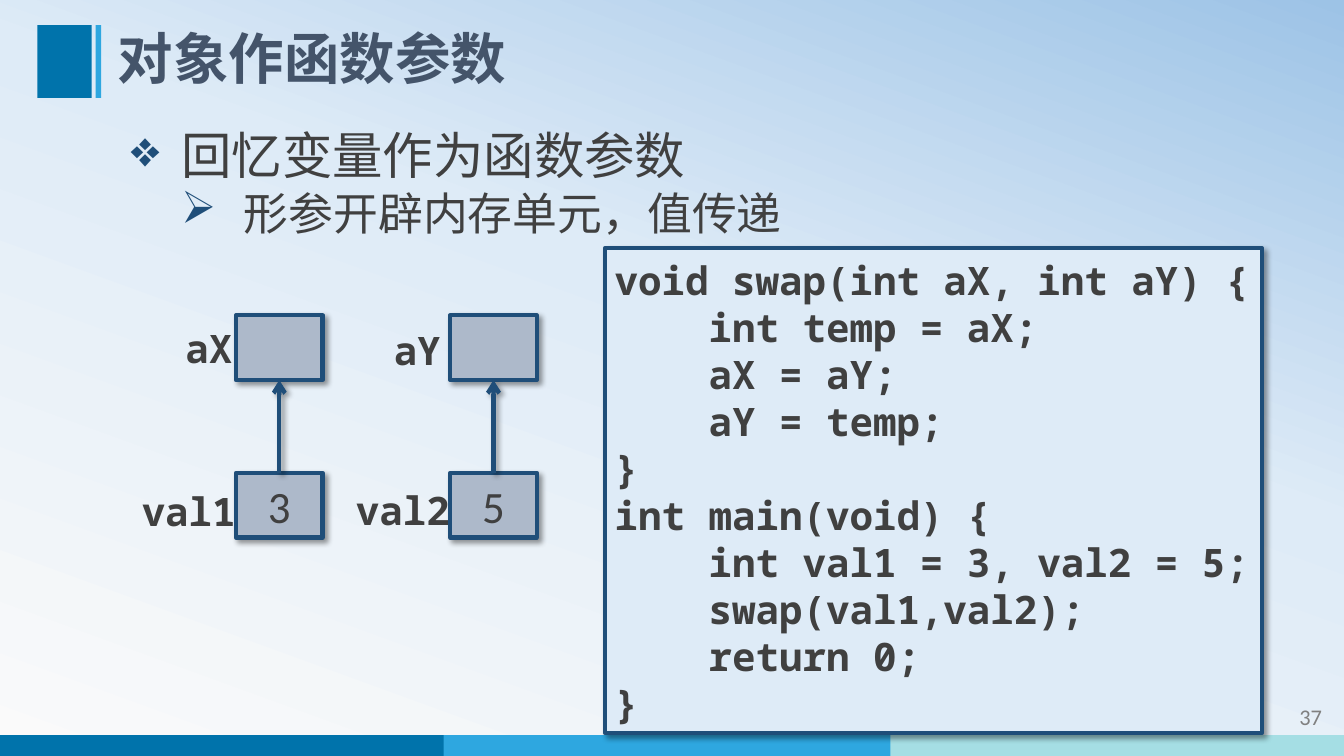
from dataclasses import dataclass

from pptx import Presentation
from pptx.dml.color import RGBColor
from pptx.enum.shapes import MSO_CONNECTOR as CONNECTOR, MSO_SHAPE as SHAPE
from pptx.enum.text import MSO_ANCHOR as ANCHOR, PP_ALIGN as ALIGN
from pptx.oxml import parse_xml
from pptx.oxml.ns import nsdecls, qn
from pptx.util import Inches, Pt

WIDTH, HEIGHT = Inches(13.33), Inches(7.5)
COLUMNS, ROWS = 160, 90


@dataclass(frozen=True)
class Theme:
    """Colours, fonts and type sizes of the slide."""
    navy: str = "1F4E79"
    blue: str = "0073AB"
    sky: str = "2EA7E0"
    aqua: str = "A5DEE4"
    panel: str = "DEEBF7"
    cell: str = "ADB9CA"
    heading: str = "44546A"
    body: str = "404040"
    muted: str = "808080"
    backdrop: tuple = ((0, "FAFAFA"), (58, "DEEBF7"), (100, "9DC3E6"))
    cjk: str = "Noto Sans CJK SC"
    mono: str = "Noto Sans Mono"
    sans: str = "Calibri"
    title_size: float = 39.6
    topic_size: float = 36
    point_size: float = 32
    code_size: float = 28
    number_size: float = 16
    code_pitch: float = 33.6
    line_width: float = 3


THEME = Theme()
CODE = """void swap(int aX, int aY) {
    int temp = aX;
    aX = aY;
    aY = temp;
}
int main(void) {
    int val1 = 3, val2 = 5;
    swap(val1,val2);
    return 0;
}"""


def grid(column, row):
    """Turn grid columns and rows into slide lengths."""
    return round(WIDTH * column / COLUMNS), round(HEIGHT * row / ROWS)


def xml(markup):
    """Build a DrawingML element whose opening tag ends with a marker."""
    return parse_xml(markup.replace("@", nsdecls("a"), 1))


def add_shadow(item):
    """Give a shape or connector the soft diagonal shadow."""
    item.element.spPr.append(xml(
        f'<a:effectLst @><a:outerShdw blurRad="{Pt(4)}" dist="{Pt(3)}" dir="2700000">'
        '<a:srgbClr val="000000"><a:alpha val="40000"/></a:srgbClr>'
        '</a:outerShdw></a:effectLst>'))


def outline(item):
    """Draw the thick navy line of a box or arrow."""
    item.line.color.rgb = RGBColor.from_string(THEME.navy)
    item.line.width = Pt(THEME.line_width)


def paint_background(slide):
    """Fill the slide with the rising blue gradient."""
    fill = slide.background.fill
    fill.gradient()
    fill.gradient_angle = 70
    stops = slide.element.find(".//" + qn("a:gsLst"))
    stops.clear()
    for position, color in THEME.backdrop:
        stops.append(xml(f'<a:gs @ pos="{position * 1000}"><a:srgbClr val="{color}"/></a:gs>'))


def add_block(slide, left, top, width, height, color):
    """Add a plain rectangle without a line."""
    block = slide.shapes.add_shape(SHAPE.RECTANGLE, *grid(left, top), *grid(width, height))
    block.shadow.inherit = False
    block.fill.solid()
    block.fill.fore_color.rgb = RGBColor.from_string(color)
    block.line.fill.background()
    return block


def add_box(slide, left, top, width, height, color):
    """Add an outlined rectangle with a shadow."""
    box = add_block(slide, left, top, width, height, color)
    outline(box)
    box.element.spPr.remove(box.element.spPr.find(qn("a:effectLst")))
    add_shadow(box)
    return box


def add_text_area(slide, left, top, width, height):
    """Add an empty text box on the grid."""
    return slide.shapes.add_textbox(*grid(left, top), *grid(width, height))


def set_bullet(paragraph, mark, margin, hanging):
    """Add a hanging navy bullet to a paragraph."""
    properties = paragraph._p.get_or_add_pPr()
    properties.set("marL", str(Inches(margin)))
    properties.set("indent", str(-Inches(hanging)))
    properties.append(xml(f'<a:buClr @><a:srgbClr val="{THEME.navy}"/></a:buClr>'))
    properties.append(xml(f'<a:buChar @ char="{mark}"/>'))


def write(holder, text, *, font, size, color=THEME.body, bold=False, align=ALIGN.LEFT,
          anchor=ANCHOR.TOP, spacing=None, wrap=True, bullet=None, level=0,
          more=False, inset=0.05):
    """Write formatted lines into a shape, after its text if more is set."""
    frame = holder.text_frame
    frame.word_wrap = wrap
    frame.vertical_anchor = anchor
    frame.margin_top = Inches(inset)
    for index, line in enumerate(text.split("\n")):
        paragraph = frame.add_paragraph() if more or index else frame.paragraphs[0]
        paragraph.alignment = align
        paragraph.level = level
        if bullet:
            set_bullet(paragraph, *bullet)
        if spacing:
            paragraph.line_spacing = spacing
        run = paragraph.add_run()
        run.text = line
        run.font.name, run.font.size, run.font.bold = font, Pt(size), bold
        run.font.color.rgb = RGBColor.from_string(color)
        run._r.get_or_add_rPr().append(xml(f'<a:ea @ typeface="{font}"/>'))


def write_code(holder, code, **format_options):
    """Write bold monospaced code with an even line pitch."""
    write(holder, code, font=THEME.mono, size=THEME.code_size, bold=True,
          spacing=Pt(THEME.code_pitch), inset=0.08, **format_options)


def add_arrow(slide, column, start_row, end_row):
    """Add a vertical arrow from an argument to its parameter."""
    arrow = slide.shapes.add_connector(
        CONNECTOR.STRAIGHT, *grid(column, start_row), *grid(column, end_row))
    outline(arrow)
    arrow.line._get_or_add_ln().append(xml('<a:tailEnd @ type="arrow"/>'))
    add_shadow(arrow)


def add_decoration(slide):
    """Add the footer band and the title markers."""
    for index, color in enumerate((THEME.blue, THEME.sky, THEME.aqua)):
        add_block(slide, -0.4 + 53.2 * index, 87.5, 54, 2.5, color)
    for left, width, color in ((4.45, 6.45, THEME.blue), (11.4, 0.65, THEME.sky)):
        add_block(slide, left, 3, width, 8.65, color)


def add_headings(slide):
    """Add the page number, the title and the two bullet points."""
    write(add_text_area(slide, 139.45, 82.9, 19.1, 4.8), "37", font=THEME.sans,
          size=THEME.number_size, color=THEME.muted, align=ALIGN.RIGHT, anchor=ANCHOR.MIDDLE)
    write(add_text_area(slide, 12.85, 3, 130.3, 8.65), "对象作函数参数", font=THEME.cjk,
          size=THEME.title_size, color=THEME.heading, bold=True, anchor=ANCHOR.MIDDLE,
          spacing=0.9)
    points = add_text_area(slide, 14.4, 10.1, 127.3, 18.6)
    write(points, "回忆变量作为函数参数", font=THEME.cjk, size=THEME.topic_size,
          spacing=Pt(68), bullet=("❖", 0.5, 0.5))
    write(points, "形参开辟内存单元，值传递", font=THEME.cjk, size=THEME.point_size,
          spacing=Pt(39), bullet=("➢", 1.12, 0.62), level=1, more=True)


def add_memory(slide):
    """Add the memory cells, their arrows and their labels."""
    cell_left, cell_step, cell_width, cell_height = 28.1, 25.5, 10.3, 7.7
    parameter_row, argument_row = 37.55, 56.3
    for index, value in enumerate("35"):
        left = cell_left + cell_step * index
        add_box(slide, left, parameter_row, cell_width, cell_height, THEME.cell)
        argument = add_box(slide, left, argument_row, cell_width, cell_height, THEME.cell)
        write(argument, value, font=THEME.sans, size=THEME.point_size,
              align=ALIGN.CENTER, anchor=ANCHOR.MIDDLE)
        add_arrow(slide, left + cell_width / 2, argument_row, parameter_row + cell_height)
    for name, left, top, width in (("aX", 20.9, 37.7, 8.4), ("aY", 45.7, 37.9, 8.4),
                                   ("val1", 15.7, 57.1, 16), ("val2", 41.2, 57, 16)):
        write_code(add_text_area(slide, left, top, width, 6.85), name, wrap=False)


def main():
    """Build the slide and save it."""
    deck = Presentation()
    deck.slide_width, deck.slide_height = WIDTH, HEIGHT
    slide = deck.slides.add_slide(deck.slide_layouts[6])
    paint_background(slide)
    add_decoration(slide)
    add_headings(slide)
    write_code(add_box(slide, 72, 29.55, 78.25, 57.7, THEME.panel), CODE)
    add_memory(slide)
    deck.save("out.pptx")


if __name__ == "__main__":
    main()
